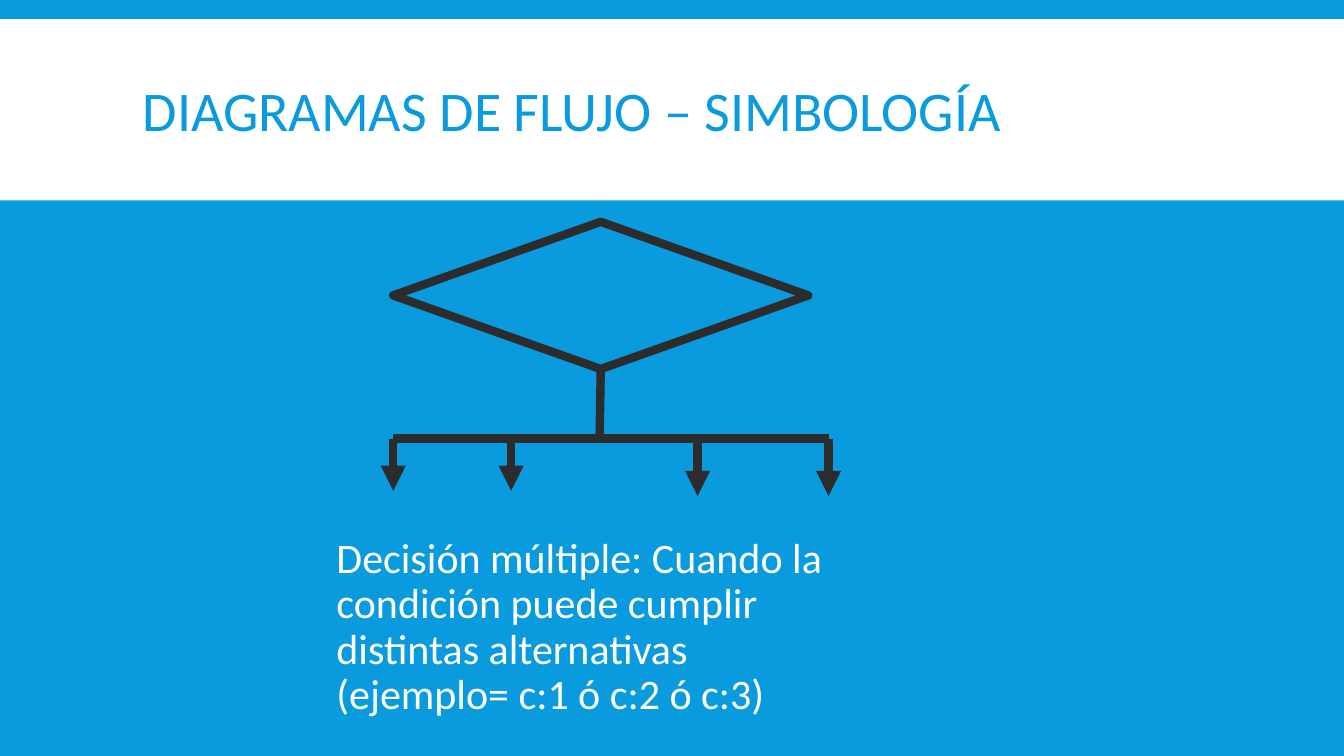
from lxml.etree import SubElement
from pptx import Presentation
from pptx.dml.color import RGBColor
from pptx.enum.shapes import MSO_CONNECTOR, MSO_SHAPE
from pptx.enum.text import MSO_ANCHOR
from pptx.oxml.ns import qn
from pptx.util import Cm, Pt

BLUE = RGBColor(0x09, 0x9B, 0xDD)
WHITE = RGBColor(0xFF, 0xFF, 0xFF)
DARK = RGBColor(0x2C, 0x2C, 0x2C)

# Content: lengths in cm
SLIDE_SIZE = (33.87, 19.05)
BAND = (0, 0.48, 33.87, 4.57)
DIAMOND = (9.91, 5.59, 10.46, 3.71)
BAR_Y = 11.05
STEM_END_X = 15.11
ARROWS = [  # x, top, bottom
    (9.91, BAR_Y, 12.37),
    (12.88, BAR_Y, 12.37),
    (17.58, 11.15, 12.5),
    (20.88, BAR_Y, 12.5),
]
TEXTS = [
    {"text": "DIAGRAMAS DE FLUJO – SIMBOLOGÍA",
     "at": (3.35, 0.79, 27.18, 4.19),
     "frame": {"vertical_anchor": MSO_ANCHOR.MIDDLE},
     "para": {"line_spacing": 0.85},
     "font": {"size": Pt(40)}, "color": BLUE},
    {"text": "Decisión múltiple: Cuando la condición puede cumplir "
             "distintas alternativas (ejemplo= c:1 ó c:2 ó c:3)",
     "at": (8.23, 13.41, 13.87, 3.71),
     "frame": {"vertical_anchor": MSO_ANCHOR.TOP, "margin_right": Cm(0.5)},
     "para": {"line_spacing": 0.9, "space_after": Pt(2)},
     "font": {"size": Pt(30)}, "color": WHITE},
]


def apply(target, values):
    for name, value in values.items():
        setattr(target, name, value)


def style_line(shape):
    shape.line.color.rgb = DARK
    shape.line.width = Pt(6)


def add_line(page, start, end, arrow=False):
    line = page.shapes.add_connector(
        MSO_CONNECTOR.STRAIGHT, *map(Cm, start + end))
    style_line(line)
    if arrow:
        SubElement(line.line._get_or_add_ln(), qn("a:tailEnd"), type="triangle")
    SubElement(line._element.spPr, qn("a:effectLst"))
    return line


def add_text(page, item):
    frame = page.shapes.add_textbox(*map(Cm, item["at"])).text_frame
    apply(frame, {"word_wrap": True, **item["frame"]})
    para = frame.paragraphs[0]
    apply(para, item["para"])
    span = para.add_run()
    span.text = item["text"]
    apply(span.font, {"name": "Calibri", **item["font"]})
    span.font.color.rgb = item["color"]


def main():
    deck = Presentation()
    deck.slide_width, deck.slide_height = map(Cm, SLIDE_SIZE)
    page = deck.slides.add_slide(deck.slide_layouts[6])
    page.background.fill.solid()
    page.background.fill.fore_color.rgb = BLUE

    # Title band
    band = page.shapes.add_shape(MSO_SHAPE.RECTANGLE, *map(Cm, BAND))
    band.shadow.inherit = False
    band.fill.solid()
    band.fill.fore_color.rgb = WHITE
    band.line.fill.background()

    # Title and description
    for item in TEXTS:
        add_text(page, item)

    # Decision symbol
    diamond = page.shapes.add_shape(
        MSO_SHAPE.FLOWCHART_DECISION, *map(Cm, DIAMOND))
    diamond.shadow.inherit = False
    diamond.fill.background()
    style_line(diamond)

    # Stem, bar and branches
    left, top, width, height = DIAMOND
    stem = add_line(page, (left + width / 2, top + height), (STEM_END_X, BAR_Y))
    stem.begin_connect(diamond, 2)
    add_line(page, (ARROWS[0][0], BAR_Y), (ARROWS[-1][0], BAR_Y))
    for x, start, end in ARROWS:
        add_line(page, (x, start), (x, end), arrow=True)

    deck.save("out.pptx")


if __name__ == "__main__":
    main()
